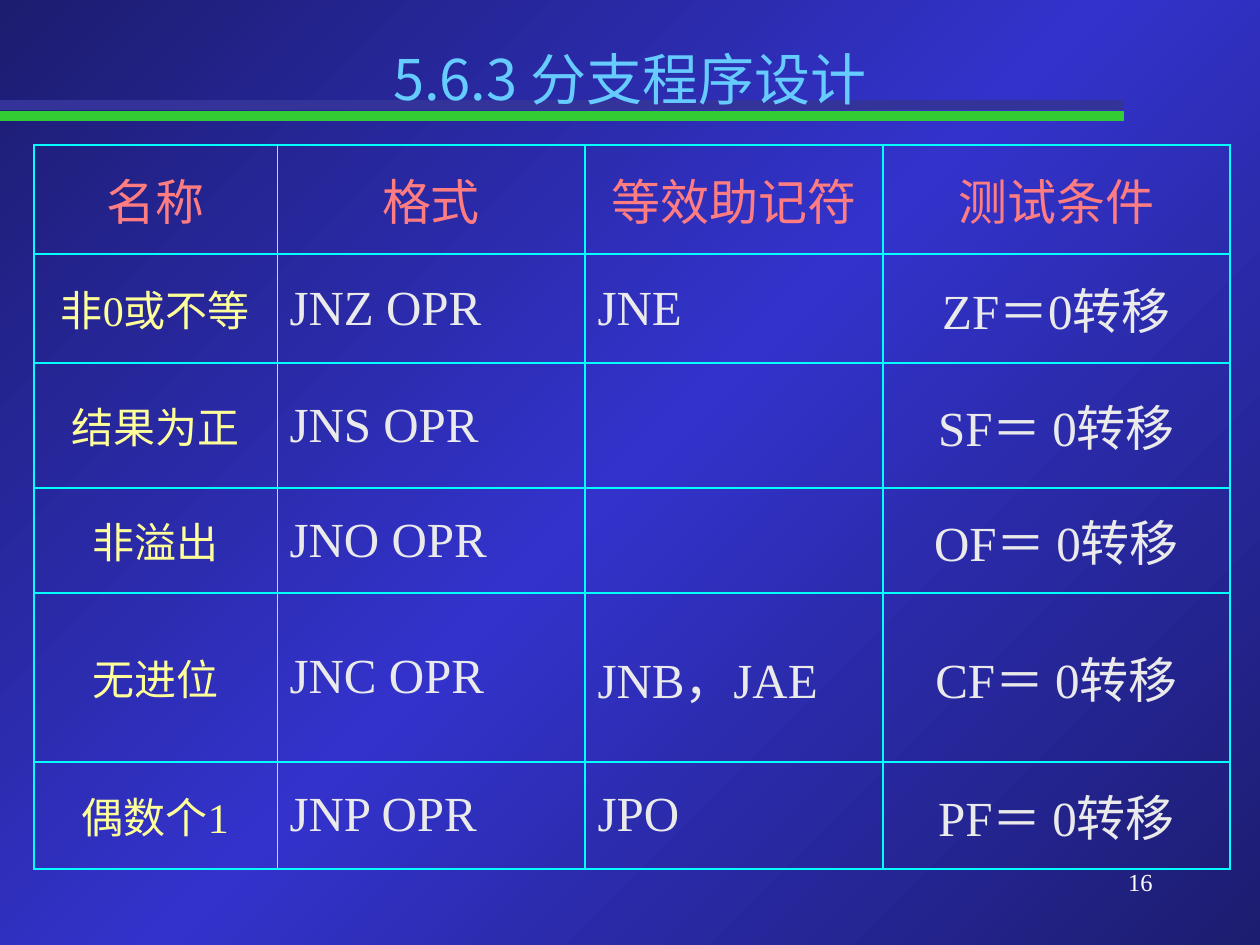
import copy

import pptx
import pptx.chart.data
import pptx.dml.color
import pptx.enum.shapes
import pptx.enum.text
import pptx.oxml
import pptx.oxml.ns
import pptx.util
from lxml import etree

SERIF, SANS = "Times New Roman", "Noto Sans CJK SC"
CYAN, PALE = "00FFFF", "CCCCFF"
BACKGROUND = [(0, "1C1C70"), (0.5, "3333CC"), (1, "1C1C70")]
TITLE = "5.6.3 分支程序设计"
PAGE = "16"
RULES = [(105, "333399"), (116, "33CC33")]
RULE_END = 1124

HEADER = ["名称", "格式", "等效助记符", "测试条件"]
JUMPS = [
    ["非0或不等", "JNZ OPR", "JNE", "ZF＝0转移"],
    ["结果为正", "JNS OPR", "", "SF＝ 0转移"],
    ["非溢出", "JNO OPR", "", "OF＝ 0转移"],
    ["无进位", "JNC OPR", "JNB，JAE", "CF＝ 0转移"],
    ["偶数个1", "JNP OPR", "JPO", "PF＝ 0转移"],
]
COLS = [243, 308, 298, 347]
ROWS = [109, 109, 125, 105, 169, 107]

ALIGN = pptx.enum.text.PP_ALIGN
ANCHOR = pptx.enum.text.MSO_ANCHOR
Pt = pptx.util.Pt
qn = pptx.oxml.ns.qn


def px(n):
    return round(n * 914400 / 126)


def rgb(color):
    return pptx.dml.color.RGBColor.from_string(color)


def write(tf, text, size, color, font=SERIF, align=ALIGN.LEFT, before=0):
    p = tf.paragraphs[0]
    p.alignment = align
    p.space_before = Pt(before)
    r = p.add_run()
    r.text = text
    r.font.size = Pt(size)
    r.font.name = font
    r.font.bold = False
    r.font.color.rgb = rgb(color)
    ea = etree.SubElement(r.font._element, qn("a:ea"))
    ea.set("typeface", SANS)


def paint_background(s):
    fill = s.background.fill
    fill.gradient()
    fill.gradient_angle = 315
    stops = next(s._element.iter(qn("a:gsLst")))
    stops.append(copy.deepcopy(stops[-1]))
    for stop, (position, color) in zip(fill.gradient_stops, BACKGROUND):
        stop.position = position
        stop.color.rgb = rgb(color)


def add_rule(s, y, color):
    line = s.shapes.add_connector(
        pptx.enum.shapes.MSO_CONNECTOR.STRAIGHT, 0, px(y), px(RULE_END), px(y))
    line.line.color.rgb = rgb(color)
    line.line.width = Pt(5.5)
    etree.SubElement(line._element.spPr, qn("a:effectLst"))


def set_borders(cell, col):
    """Cyan edges, with a paler hairline after the first column."""
    tcPr = cell._tc.get_or_add_tcPr()
    hairline = {0: "a:lnR", 1: "a:lnL"}.get(col)
    for i, side in enumerate(("a:lnL", "a:lnR", "a:lnT", "a:lnB")):
        thin = side == hairline
        ln = etree.Element(qn(side), w=str(Pt(0.5 if thin else 1)))
        fill = etree.SubElement(ln, qn("a:solidFill"))
        etree.SubElement(fill, qn("a:srgbClr"), val=PALE if thin else CYAN)
        tcPr.insert(i, ln)


def cell_format(row, col):
    align = ALIGN.CENTER if row == 0 or col in (0, 3) else ALIGN.LEFT
    if row == 0:
        size, color = 28, "FF7C80"
    elif col == 0:
        size, color = 24, "FFFF99"
    else:
        size, color = 28, "EAEAEA"
    return dict(size=size, color=color, align=align, before=size * 0.2)


def add_jump_table(s):
    table = s.shapes.add_table(len(ROWS), len(COLS), px(34), px(145),
                               px(sum(COLS)), px(sum(ROWS))).table
    table.first_row = table.horz_banding = False
    for column, width in zip(table.columns, COLS):
        column.width = px(width)
    for row, height in zip(table.rows, ROWS):
        row.height = px(height)
    for i, texts in enumerate([HEADER] + JUMPS):
        for j, text in enumerate(texts):
            cell = table.cell(i, j)
            cell.vertical_anchor = ANCHOR.MIDDLE
            cell.fill.background()
            set_borders(cell, j)
            if text:
                write(cell.text_frame, text, **cell_format(i, j))


def main():
    prs = pptx.Presentation()
    prs.slide_width, prs.slide_height = px(1260), px(945)
    s = prs.slides.add_slide(prs.slide_layouts[5])
    paint_background(s)
    for y, color in RULES:
        add_rule(s, y, color)

    number = s.shapes.add_textbox(px(903), px(861), px(262), px(63))
    number.text_frame.word_wrap = True
    write(number.text_frame, PAGE, 14, "FFFFFF", align=ALIGN.RIGHT)

    add_jump_table(s)

    title = s.shapes.title
    title.left, title.top, title.width, title.height = map(px, (63, 38, 1134, 157))
    title.text_frame.vertical_anchor = ANCHOR.TOP
    write(title.text_frame, TITLE, 32, "66CCFF", font=SANS, align=ALIGN.CENTER)
    s.shapes._spTree.append(title._element)  # in front of the rules

    prs.save("out.pptx")


if __name__ == "__main__":
    main()
